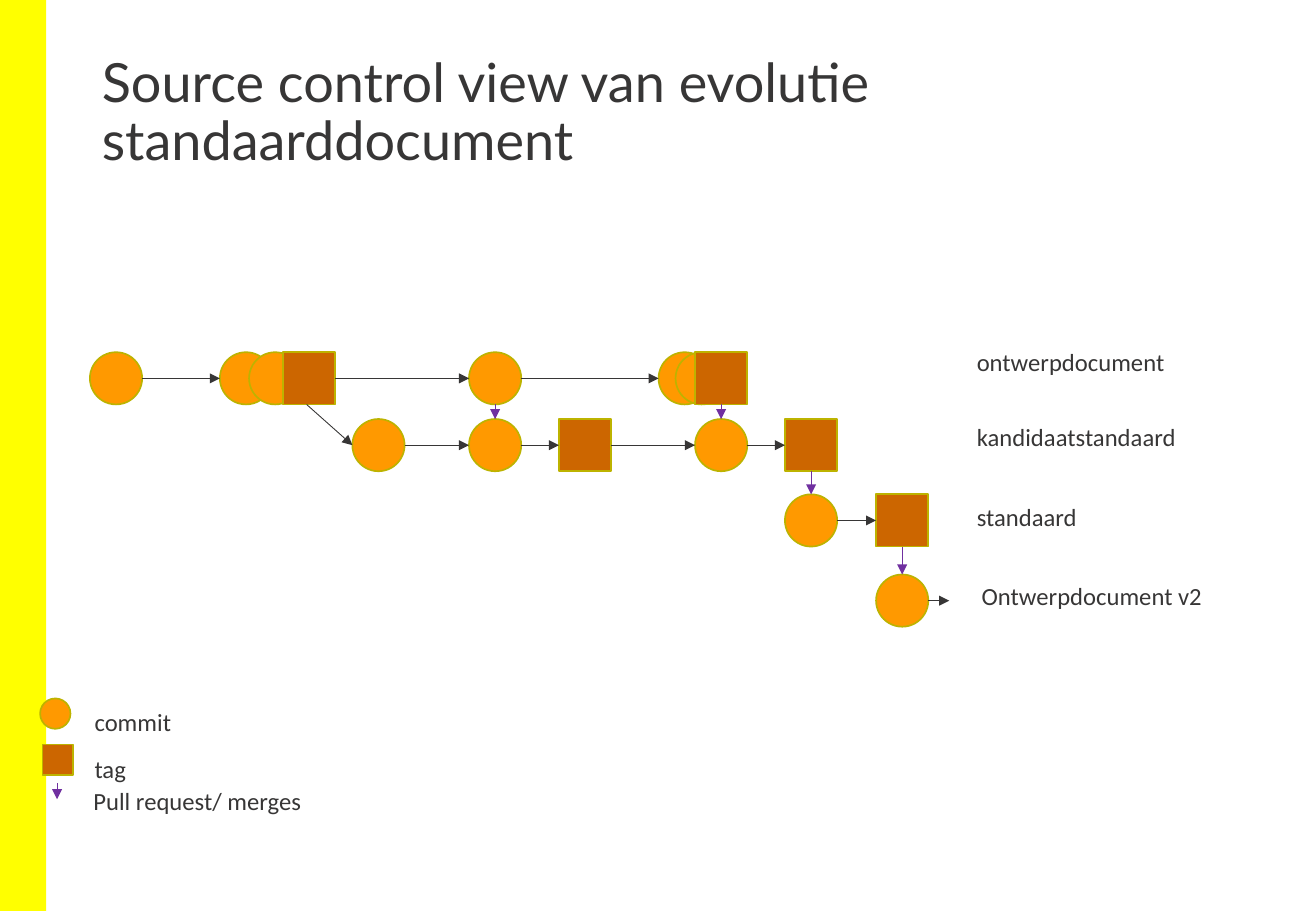
"""Draws the commit and tag flow of a standard document through its four stages."""
from lxml import etree
from pptx import Presentation
from pptx.dml.color import RGBColor
from pptx.enum import shapes, text
from pptx.oxml.ns import qn
from pptx.util import Inches, Pt

HUES = {"ink": "373636", "bar": "FFFF00", "commit": "FF9900", "tag": "CC6600",
        "edge": "BDB300", "merge": "7030A0"}
FORMS = {"commit": shapes.MSO_SHAPE.OVAL, "tag": shapes.MSO_SHAPE.RECTANGLE}
TITLE = "Source control view van evolutie standaarddocument"
SIZE, SMALL = 0.43, 0.25
ROWS = {"draft": 2.9, "next": 3.45, "final": 4.07, "v2": 4.73}

NODES = {
    "start": ("commit", 0.74, "draft"),
    "edit": ("commit", 1.81, "draft"),
    "ready": ("commit", 2.05, "draft"),
    "cut": ("tag", 2.33, "draft"),
    "fix": ("commit", 3.86, "draft"),
    "late": ("commit", 5.42, "draft"),
    "last": ("commit", 5.56, "draft"),
    "close": ("tag", 5.72, "draft"),
    "branch": ("commit", 2.9, "next"),
    "pull": ("commit", 3.86, "next"),
    "mark": ("tag", 4.6, "next"),
    "merge": ("commit", 5.72, "next"),
    "pass": ("tag", 6.46, "next"),
    "adopt": ("commit", 6.46, "final"),
    "issue": ("tag", 7.21, "final"),
    "renew": ("commit", 7.21, "v2"),
}
STEPS = [("start", "edit"), ("cut", "fix"), ("fix", "late"), ("branch", "pull"),
         ("pull", "mark"), ("mark", "merge"), ("merge", "pass"), ("adopt", "issue")]
MERGES = [("fix", "pull"), ("close", "merge"), ("pass", "adopt"), ("issue", "renew")]
LABELS = [
    ("ontwerpdocument", 7.94, 2.81, 1.76),
    ("kandidaatstandaard", 7.94, 3.42, 1.85),
    ("standaard", 7.94, 4.08, 1.03),
    ("Ontwerpdocument v2", 7.98, 4.73, 2.02),
    ("commit", 0.68, 5.77, 0.84),
    ("tag", 0.68, 6.16, 0.46),
    ("Pull request/ merges", 0.67, 6.42, 1.92),
]
KEYS = [("commit", 0.33, 5.75), ("tag", 0.35, 6.13)]

deck = Presentation()
deck.slide_width, deck.slide_height = Inches(10.83), Inches(7.5)
slide = deck.slides.add_slide(deck.slide_layouts[6])


def color(name):
    return RGBColor.from_string(HUES[name])


def block(form, x, y, w, h, fill, edge=None):
    item = slide.shapes.add_shape(form, Inches(x), Inches(y), Inches(w), Inches(h))
    item.shadow.inherit = False
    item.fill.solid()
    item.fill.fore_color.rgb = color(fill)
    if edge:
        item.line.color.rgb = color(edge)
        item.line.width = Pt(1)
    else:
        item.line.fill.background()


def write(words, x, y, w, h=0.35, size=14.6, font="Calibri", wrap=False, space=1.0):
    frame = slide.shapes.add_textbox(Inches(x), Inches(y), Inches(w), Inches(h)).text_frame
    frame.word_wrap = wrap
    frame.vertical_anchor = text.MSO_ANCHOR.MIDDLE if wrap else text.MSO_ANCHOR.TOP
    if not wrap:
        frame.auto_size = text.MSO_AUTO_SIZE.SHAPE_TO_FIT_TEXT
    para = frame.paragraphs[0]
    para.line_spacing = space
    run = para.add_run()
    run.text = words
    run.font.size, run.font.name = Pt(size), font
    run.font.color.rgb = color("ink")


def arrow(start, end, hue="ink"):
    ends = [Inches(v) for v in (*start, *end)]
    line = slide.shapes.add_connector(shapes.MSO_CONNECTOR.STRAIGHT, *ends)
    line.line.color.rgb = color(hue)
    line.line.width = Pt(0.5)
    etree.SubElement(line.line._get_or_add_ln(), qn("a:tailEnd"), type="triangle")
    etree.SubElement(line._element.spPr, qn("a:effectLst"))


def side(name, across, down):
    kind, x, row = NODES[name]
    return x + across * SIZE, ROWS[row] + down * SIZE


block(FORMS["tag"], 0, 0, 0.38, 7.5, "bar")
write(TITLE, 0.74, 0.4, 9.34, 1.08, size=32, font="Lato", wrap=True, space=0.9)
for kind, x, row in NODES.values():
    block(FORMS[kind], x, ROWS[row], SIZE, SIZE, kind, "edge")
for one, two in STEPS:
    arrow(side(one, 1, 0.5), side(two, 0, 0.5))
for one, two in MERGES:
    arrow(side(one, 0.5, 1), side(two, 0.5, 0), "merge")
arrow(side("cut", 0.45, 1), side("branch", 0, 0.5))
arrow(side("renew", 1, 0.5), side("renew", 1.4, 0.5))
for kind, x, y in KEYS:
    block(FORMS[kind], x, y, SMALL, SMALL, kind, "edge")
arrow((0.47, 6.45), (0.47, 6.58), "merge")
for label in LABELS:
    write(*label)

deck.save("out.pptx")
